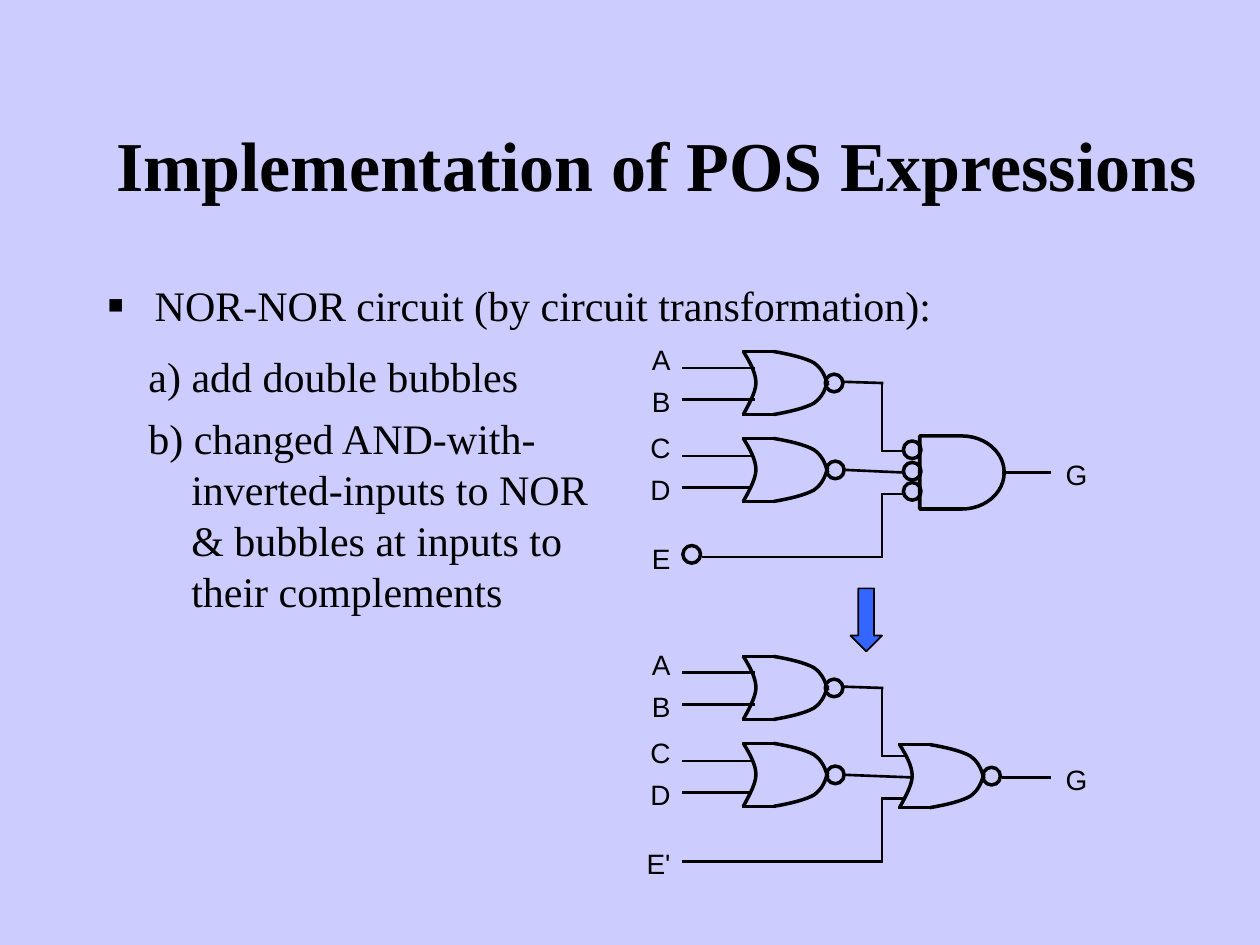
from pptx import Presentation
from pptx.dml.color import RGBColor
from pptx.enum.shapes import MSO_CONNECTOR, MSO_SHAPE
from pptx.enum.text import MSO_ANCHOR, PP_ALIGN
from pptx.oxml.ns import qn
from pptx.util import Inches, Pt
from lxml import etree

BLACK = RGBColor(0x00, 0x00, 0x00)
LAVENDER = RGBColor(0xCC, 0xCC, 0xFF)
BLUE = RGBColor(0x33, 0x66, 0xFF)
STRAIGHT = MSO_CONNECTOR.STRAIGHT
ELLIPSE = MSO_SHAPE.OVAL
DELAY = MSO_SHAPE.FLOWCHART_DELAY
DOWN_ARROW = MSO_SHAPE.DOWN_ARROW
CENTER, LEFT, RIGHT = PP_ALIGN.CENTER, PP_ALIGN.LEFT, PP_ALIGN.RIGHT
MIDDLE = MSO_ANCHOR.MIDDLE

TITLE_FONT = {"name": "Times New Roman", "size": Pt(40), "bold": True}
BODY_FONT = {"name": "Times New Roman", "size": Pt(24), "bold": False}
LABEL_FONT = {"name": "Arial", "size": Pt(16), "bold": False}
WIRE, OUTLINE = 1.5, 2
BUBBLE = 0.14
STAGE_GAP = 2.42
GATE_X, JOIN_X = 5.9, 7

GATE_CURVES = [
    [(0, 0), (0.05, 0.08), (0.1, 0.17), (0.1, 0.25), (0.1, 0.33), (0.02, 0.46), (0, 0.5)],
    [(0.24, 0), (0.36, 0.02), (0.49, 0.05), (0.56, 0.09), (0.63, 0.14), (0.65, 0.2), (0.67, 0.27)],
    [(0.24, 0.5), (0.36, 0.48), (0.49, 0.45), (0.56, 0.41), (0.63, 0.36), (0.65, 0.3), (0.67, 0.23)],
]

BODY_LINES = [
    ("NOR-NOR circuit (by circuit transformation):", 0.38, 0, 1),
    ("a) add double bubbles", 0.33, 12, 1),
    ("b) changed AND-with-", 0.33, 12, 0.8),
    ("inverted-inputs to NOR", 0.67, 6, 0.8),
    ("& bubbles at inputs to", 0.67, 6, 0.8),
    ("their complements", 0.67, 6, 0.8),
]


class CircuitSlide:
    def __init__(self, slide):
        self.slide = slide
        self.shapes = slide.shapes
        slide.background.fill.solid()
        slide.background.fill.fore_color.rgb = LAVENDER

    def format(self, paragraph, font_values, align):
        paragraph.alignment = align
        for key, value in font_values.items():
            setattr(paragraph.font, key, value)
        paragraph.font.color.rgb = BLACK

    def stroke(self, shape, width):
        shape.line.color.rgb = BLACK
        shape.line.width = Pt(width)

    def title(self, text, x, y, w, h):
        title = self.shapes.title
        place = {"left": x, "top": y, "width": w, "height": h}
        for key, value in place.items():
            setattr(title, key, Inches(value))
        title.text_frame.text = text
        title.text_frame.word_wrap = True
        title.text_frame.vertical_anchor = MIDDLE
        self.format(title.text_frame.paragraphs[0], TITLE_FONT, CENTER)

    def text_box(self, x, y, w, h):
        frame = self.shapes.add_textbox(*map(Inches, (x, y, w, h))).text_frame
        frame.word_wrap = True
        return frame

    def body(self, lines, x, y, w, h):
        frame = self.text_box(x, y, w, h)
        for index, (text, indent, before, spacing) in enumerate(lines):
            paragraph = frame.paragraphs[0] if index == 0 else frame.add_paragraph()
            properties = paragraph._p.get_or_add_pPr()
            properties.set("marL", str(Inches(indent)))
            if index == 0:
                properties.set("indent", str(-Inches(indent)))
                self.bullet(properties)
            paragraph.text = text
            paragraph.space_before = Pt(before)
            paragraph.line_spacing = float(spacing)
            self.format(paragraph, BODY_FONT, LEFT)

    def bullet(self, properties):
        color = etree.SubElement(properties, qn("a:buClr"))
        etree.SubElement(color, qn("a:srgbClr"), val=str(BLACK))
        etree.SubElement(properties, qn("a:buSzPct"), val="120000")
        etree.SubElement(properties, qn("a:buFont"), typeface=BODY_FONT["name"])
        etree.SubElement(properties, qn("a:buChar"), char="▪")

    def label(self, text, x, y, w=0.42, align=RIGHT):
        frame = self.text_box(x, y, w, 0.37)
        frame.text = text
        self.format(frame.paragraphs[0], LABEL_FONT, align)

    def line(self, x1, y1, x2, y2, width=WIRE):
        line = self.shapes.add_connector(STRAIGHT, *map(Inches, (x1, y1, x2, y2)))
        self.stroke(line, width)
        properties = line._element.spPr
        properties.find(qn("a:ln")).set("cap", "sq")
        etree.SubElement(properties, qn("a:effectLst"))

    def preset(self, kind, x, y, w, h, width=OUTLINE, fill=None):
        shape = self.shapes.add_shape(kind, *map(Inches, (x, y, w, h)))
        shape.shadow.inherit = False
        if fill is None:
            shape.fill.background()
        else:
            shape.fill.solid()
            shape.fill.fore_color.rgb = fill
        self.stroke(shape, width)

    def bubble(self, x, y):
        self.preset(ELLIPSE, x, y, BUBBLE, BUBBLE)

    def curve(self, x, y, controls):
        start, *rest = [(Inches(x + dx), Inches(y + dy)) for dx, dy in controls]
        builder = self.shapes.build_freeform(*start)
        builder.add_line_segments(rest, close=False)
        shape = builder.convert_to_shape()
        segments = list(shape._element.iter(qn("a:lnTo")))
        outline = segments[0].getparent()
        for first in range(0, len(segments), 3):
            bezier = etree.SubElement(outline, qn("a:cubicBezTo"))
            for segment in segments[first:first + 3]:
                bezier.append(segment[0])
                outline.remove(segment)
        shape.shadow.inherit = False
        shape.fill.background()
        self.stroke(shape, OUTLINE)

    def nor_gate(self, x, y, bubble_dx):
        for controls in GATE_CURVES:
            self.curve(x, y, controls)
        for edge in (y, y + 0.5):
            self.line(x, edge, x + 0.24, edge, OUTLINE)
        self.bubble(x + bubble_dx, y + 0.18)

    def input_stage(self, shift, last_input, last_wire_x, middle_end_x):
        for text, y in (("A", 2.67), ("B", 3), ("C", 3.37), ("D", 3.7), (last_input, 4.25)):
            self.label(text, 5, y + shift)
        for y, end_x in ((2.92, 5.98), (3.17, 5.98), (3.62, 5.95), (3.87, 5.95)):
            self.line(5.42, y + shift, end_x, y + shift)
        self.nor_gate(GATE_X, 2.79 + shift, 0.65)
        self.nor_gate(GATE_X, 3.48 + shift, 0.66)
        wires = [
            (6.69, 3.03, JOIN_X, 3.04), (JOIN_X, 3.04, JOIN_X, 3.58),
            (JOIN_X, 3.58, 7.17, 3.58), (6.72, 3.73, middle_end_x, 3.75),
            (JOIN_X, 3.92, 7.17, 3.92), (JOIN_X, 3.92, JOIN_X, 4.42),
            (last_wire_x, 4.42, JOIN_X, 4.42), (7.96, 3.75, 8.33, 3.75),
        ]
        for x1, y1, x2, y2 in wires:
            self.line(x1, y1 + shift, x2, y2 + shift)
        self.label("G", 8.36, 3.58 + shift, 0.39, LEFT)


def main():
    deck = Presentation()
    deck.slide_width, deck.slide_height = Inches(10), Inches(7.5)
    circuit = CircuitSlide(deck.slides.add_slide(deck.slide_layouts[5]))
    circuit.title("Implementation of POS Expressions", 0.75, 0.67, 8.92, 1.25)
    circuit.body(BODY_LINES, 0.75, 2.17, 8.5, 4.5)

    circuit.input_stage(0, "E", 5.58, 7.17)
    circuit.bubble(5.42, 4.33)
    circuit.preset(DELAY, 7.3, 3.46, 0.67, 0.58)
    for y in (3.5, 3.67, 3.83):
        circuit.bubble(7.17, y)

    circuit.input_stage(STAGE_GAP, "E'", 5.42, 7.23)
    circuit.nor_gate(7.14, 5.91, 0.66)
    circuit.preset(DOWN_ARROW, 6.75, 4.67, 0.25, 0.5, 1, BLUE)
    deck.save("out.pptx")


if __name__ == "__main__":
    main()
